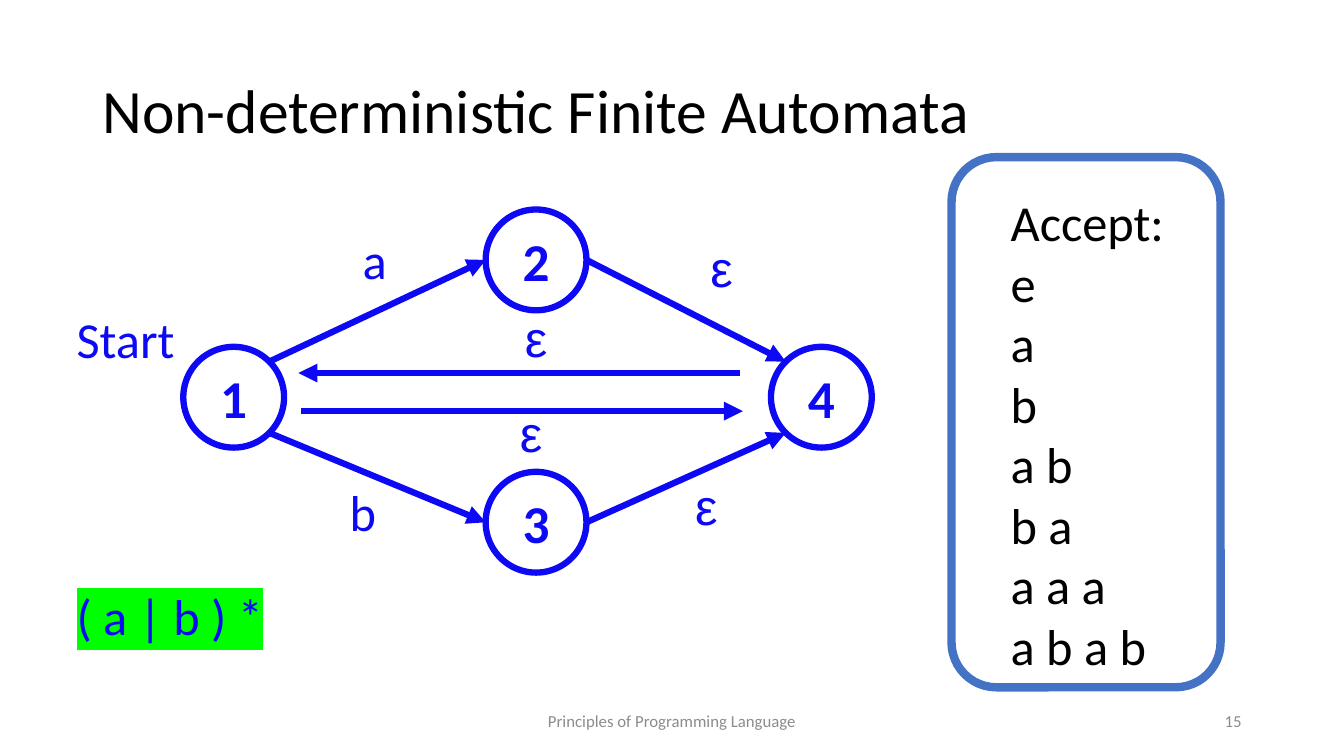
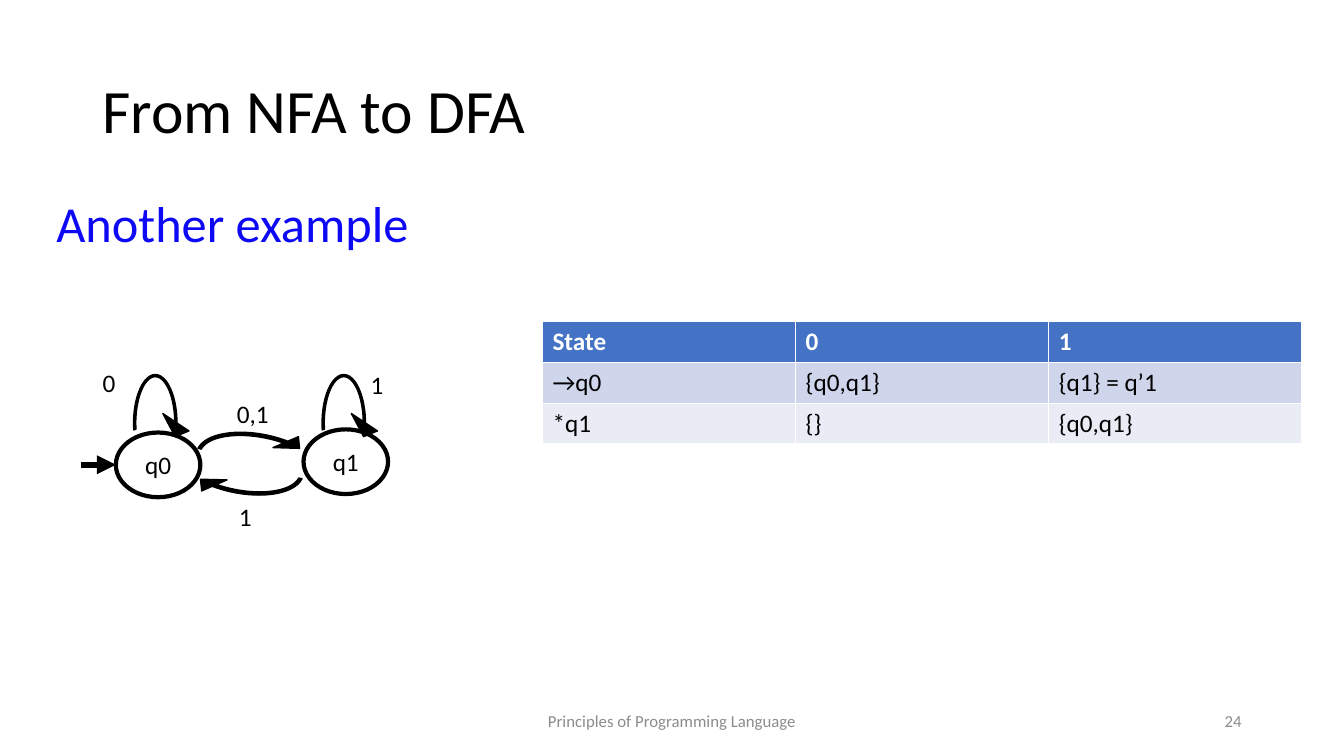
from math import hypot

from lxml import etree
from pptx import Presentation
from pptx.dml.color import RGBColor
from pptx.enum.shapes import MSO_CONNECTOR, MSO_SHAPE
from pptx.enum.text import MSO_ANCHOR, MSO_AUTO_SIZE, PP_ALIGN
from pptx.oxml.ns import qn
from pptx.util import Cm, Pt

STRAIGHT = MSO_CONNECTOR.STRAIGHT
OVAL, ROUNDED, LOOP = MSO_SHAPE.OVAL, MSO_SHAPE.ROUNDED_RECTANGLE, MSO_SHAPE.CIRCULAR_ARROW
TOP, MIDDLE = MSO_ANCHOR.TOP, MSO_ANCHOR.MIDDLE
LEFT, CENTER, RIGHT = PP_ALIGN.LEFT, PP_ALIGN.CENTER, PP_ALIGN.RIGHT
FIT = MSO_AUTO_SIZE.SHAPE_TO_FIT_TEXT

COLORS = {
    "ink": "000000", "blue": "0D09F4", "accent": "4472C4", "footer": "8C8C8C",
    "white": "FFFFFF", "marker": "00FF00", "odd": "CFD5EA", "even": "E9EBF5",
}
FONT, GREEK_FONT = "Calibri", "Arial"
FOOTER = "Principles of Programming Language"

NFA_TITLE = "Non-deterministic Finite Automata"
STATE_SIZE = 2.54
STATES = {"1": (5.89, 10.01), "2": (13.51, 6.55), "3": (13.51, 13.16), "4": (20.7, 10.01)}
EDGES = [
    ("1", (1, -1), "2", (-1, 0)),
    ("1", (1, 1), "3", (-1, 0)),
    ("3", (1, 0), "4", (-1, 1)),
    ("2", (1, 0), "4", (-1, -1)),
]
EPSILON_ARROWS = [((18.64, 9.4), (7.52, 9.4)), ((7.59, 10.36), (18.72, 10.36))]
NFA_LABELS = [
    ("a", 8.89, 5.64, 1.12), ("b", 8.56, 11.99, 1.19), ("Start", 1.68, 7.65, 3),
]
EPSILONS = [(17.65, 5.84), (17.27, 11.84), (12.98, 7.62), (12.85, 10.01)]
EXPRESSION = ("( a | b ) *", 1.68, 14.63, 5.26)
ACCEPTED = ["Accept:", "e", "a", "b", "a b", "b a", "a a a", "a b a b"]

DFA_TITLE = "From NFA to DFA"
SUBTITLE = ("Another example", 1.17, 4.72, 9.47)
DFA_STATES = [("q0", 2.92, 10.9), ("q1", 7.65, 10.82)]
DFA_LABELS = [("0,1", 5.72, 9.91, 1.32), ("1", 5.77, 12.52, 0.84),
              ("0", 2.34, 9.14, 0.84), ("1", 9.09, 9.17, 0.84)]
SELF_LOOP = (1.83, 3.2, [0.03, 22.155, 214.097, 97.892, 0.216])
BRIDGE = (3.89, 2.16, [0.038, 11.423, 183.659, 110.024, 0.161])
LOOPS = [(SELF_LOOP, 7.75, 9.07, 0), (SELF_LOOP, 3, 9.07, 0),
         (BRIDGE, 4.62, 10.64, 11.7), (BRIDGE, 4.09, 10.57, 191.4)]
TRANSITIONS = [
    ("State", "0", "1"),
    ("→q0", "{q0,q1}", "{q1} = q’1"),
    ("*q1", "{}", "{q0,q1}"),
]


def rgb(name):
    return RGBColor.from_string(COLORS[name])


def write(tf, lines, size, color, align=LEFT, bold=False, font=FONT, spacing=None):
    for i, line in enumerate(lines):
        p = tf.add_paragraph() if i else tf.paragraphs[0]
        p.alignment = align
        if spacing:
            p.line_spacing = spacing
        r = p.add_run()
        r.text = line
        r.font.size, r.font.bold, r.font.name = Pt(size), bold, font
        r.font.color.rgb = rgb(color)


def add_text(s, lines, x, y, w, h, size, color, anchor=TOP, wrap=True, **style):
    tf = s.shapes.add_textbox(Cm(x), Cm(y), Cm(w), Cm(h)).text_frame
    tf.word_wrap = wrap
    tf.vertical_anchor = anchor
    if not wrap:
        tf.auto_size = FIT
    write(tf, lines, size, color, **style)
    return tf


def add_label(s, text, x, y, w, size=36, color="blue", **style):
    return add_text(s, [text], x, y, w, size * 0.05, size, color, wrap=False, **style)


def add_figure(s, kind, x, y, w, h, line, width, fill=None):
    sp = s.shapes.add_shape(kind, Cm(x), Cm(y), Cm(w), Cm(h))
    sp.shadow.inherit = False
    if fill:
        sp.fill.solid()
        sp.fill.fore_color.rgb = rgb(fill)
    else:
        sp.fill.background()
    sp.line.color.rgb = rgb(line)
    sp.line.width = Pt(width)
    return sp


def add_state(s, name, x, y, w, h, color, width, size, bold=False):
    sp = add_figure(s, OVAL, x, y, w, h, color, width)
    sp.text_frame.vertical_anchor = MIDDLE
    write(sp.text_frame, [name], size, color, align=CENTER, bold=bold)


def add_arrow(s, start, end, color):
    c = s.shapes.add_connector(STRAIGHT, *(Cm(v) for v in (*start, *end)))
    c.line.color.rgb = rgb(color)
    c.line.width = Pt(4.5)
    etree.SubElement(c.line._get_or_add_ln(), qn("a:tailEnd"), type="triangle")
    etree.SubElement(c._element.spPr, qn("a:effectLst"))


def rim(state, direction):
    reach = STATE_SIZE / 2 / hypot(*direction)
    return tuple(c + d * reach for c, d in zip(STATES[state], direction))


def highlight(r, color):
    mark = etree.Element(qn("a:highlight"))
    etree.SubElement(mark, qn("a:srgbClr"), val=COLORS[color])
    r.font._element.find(qn("a:solidFill")).addnext(mark)


def add_slide(prs, title, number):
    s = prs.slides.add_slide(prs.slide_layouts[6])
    add_text(s, [title], 2.33, 1.01, 29.21, 3.68, 44, "ink", MIDDLE, spacing=0.9)
    add_text(s, [FOOTER], 11.22, 17.66, 11.43, 1.01, 12, "footer", MIDDLE, align=CENTER)
    add_text(s, [number], 23.92, 17.66, 7.62, 1.01, 12, "footer", MIDDLE, align=RIGHT)
    return s


def build_nfa(prs):
    s = add_slide(prs, NFA_TITLE, "15")
    for name, (x, y) in STATES.items():
        add_state(s, name, x - STATE_SIZE / 2, y - STATE_SIZE / 2,
                  STATE_SIZE, STATE_SIZE, "blue", 4.5, 38, True)
    for source, leave, target, enter in EDGES:
        add_arrow(s, rim(source, leave), rim(target, enter), "blue")
    for start, end in EPSILON_ARROWS:
        add_arrow(s, start, end, "blue")
    for label in NFA_LABELS:
        add_label(s, *label)
    for x, y in EPSILONS:
        add_label(s, "ε", x, y, 1.07, font=GREEK_FONT)
    tf = add_label(s, *EXPRESSION)
    highlight(tf.paragraphs[0].runs[0], "marker")
    add_text(s, ACCEPTED, 25.22, 4.7, 4.42, 12.57, 36, "ink", wrap=False)
    add_figure(s, ROUNDED, 23.98, 3.96, 6.78, 13.36, "accent", 6)


def build_dfa(prs):
    s = add_slide(prs, DFA_TITLE, "24")
    add_label(s, *SUBTITLE)
    for name, x, y in DFA_STATES:
        add_state(s, name, x, y, 2.13, 1.63, "ink", 3, 18)
    add_arrow(s, (2.03, 11.71), (2.92, 11.71), "ink")
    for (w, h, bends), x, y, turn in LOOPS:
        sp = add_figure(s, LOOP, x, y, w, h, "ink", 1, "ink")
        sp.rotation = turn
        for i, bend in enumerate(bends):
            sp.adjustments[i] = bend
    for label in DFA_LABELS:
        add_label(s, *label, size=18, color="ink")
    table = s.shapes.add_table(3, 3, Cm(13.67), Cm(8.1), Cm(19.14), Cm(3.09)).table
    for i, (row, fill) in enumerate(zip(TRANSITIONS, ("accent", "odd", "even"))):
        for j, text in enumerate(row):
            cell = table.cell(i, j)
            cell.fill.solid()
            cell.fill.fore_color.rgb = rgb(fill)
            write(cell.text_frame, [text], 18, "ink" if i else "white", bold=i == 0)


prs = Presentation()
prs.slide_width, prs.slide_height = Cm(33.87), Cm(19.05)
build_nfa(prs)
build_dfa(prs)
prs.save("out.pptx")
